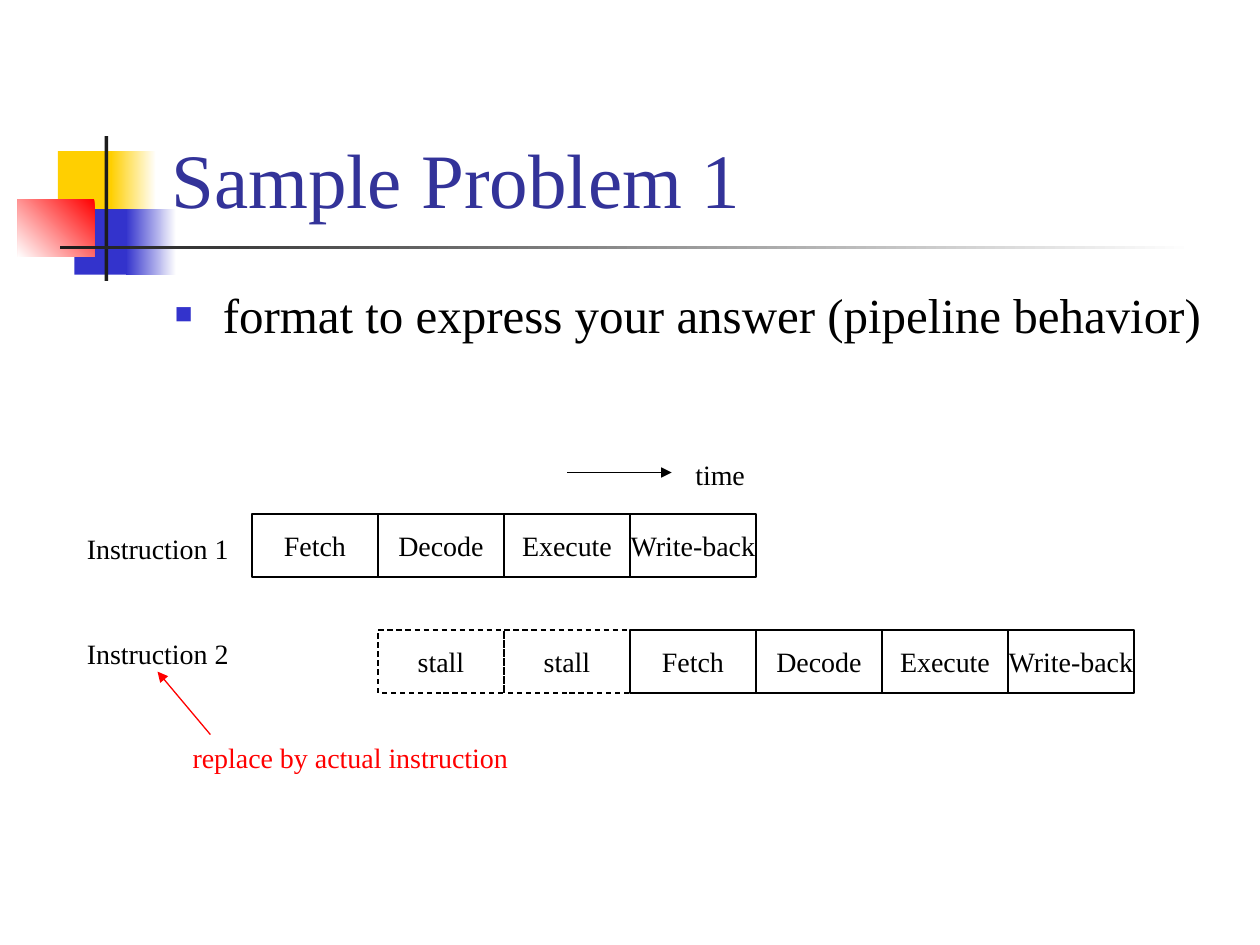
from dataclasses import dataclass

from lxml.etree import SubElement
from pptx import Presentation
from pptx.dml.color import RGBColor
from pptx.enum.dml import MSO_LINE
from pptx.enum.shapes import MSO_CONNECTOR, MSO_SHAPE
from pptx.enum.text import MSO_ANCHOR, MSO_AUTO_SIZE, PP_ALIGN
from pptx.oxml.ns import qn
from pptx.util import Inches, Pt


@dataclass(frozen=True)
class Theme:
    font: str = "Times New Roman"
    title_size: int = 44
    body_size: int = 28
    label_size: int = 16
    line_width: float = 0.75
    title: str = "333399"
    ink: str = "000000"
    note: str = "FF0000"
    white: str = "FFFFFF"
    yellow: str = "FFCF01"
    blue: str = "3333CC"
    red: str = "FF0000"
    bar: str = "1C1C1C"


THEME = Theme()
STAGES = ["Fetch", "Decode", "Execute", "Write-back"]


def color(value):
    return RGBColor.from_string(value)


def place(shape, box):
    shape.left, shape.top, shape.width, shape.height = map(Inches, box)


def write(shape, text, size, ink=THEME.ink, align=PP_ALIGN.LEFT):
    para = shape.text_frame.paragraphs[0]
    para.alignment = align
    span = para.add_run()
    span.text = text
    span.font.name = THEME.font
    span.font.size = Pt(size)
    span.font.color.rgb = color(ink)


def add_label(page, box, text, ink=THEME.ink):
    label = page.shapes.add_textbox(*map(Inches, box))
    label.text_frame.word_wrap = True
    label.text_frame.auto_size = MSO_AUTO_SIZE.NONE
    label.text_frame.margin_right = Inches(0)
    write(label, text, THEME.label_size, ink)


def add_rectangle(page, box):
    shape = page.shapes.add_shape(MSO_SHAPE.RECTANGLE, *map(Inches, box))
    shape.shadow.inherit = False
    return shape


def add_arrow(page, start, end, ink):
    arrow = page.shapes.add_connector(
        MSO_CONNECTOR.STRAIGHT, *map(Inches, start + end))
    arrow.line.color.rgb = color(ink)
    arrow.line.width = Pt(THEME.line_width)
    SubElement(arrow.line._get_or_add_ln(), qn("a:tailEnd"), type="triangle")
    SubElement(arrow._element.spPr, qn("a:effectLst"))


def add_ornament(page, box):
    left, top, width, height = box
    parts = [
        ((0.32, 0.12, 0.48, 0.52), [THEME.yellow], 0),
        ((0.74, 0.12, 0.36, 0.52), [THEME.white, THEME.yellow], 180),
        ((0.45, 0.58, 0.46, 0.52), [THEME.blue], 0),
        ((0.86, 0.58, 0.4, 0.52), [THEME.white, THEME.blue], 180),
        ((0, 0.5, 0.61, 0.46), [THEME.red, THEME.white], 225),
        ((0.69, 0, 0.03, height), [THEME.bar], 0),
        ((0.34, 0.87, width - 0.34, 0.03), [THEME.white, THEME.bar], 180),
    ]
    for (across, down, part_width, part_height), colors, angle in parts:
        part = add_rectangle(page, (left + across, top + down, part_width, part_height))
        part.line.fill.background()
        if len(colors) == 1:
            part.fill.solid()
            part.fill.fore_color.rgb = color(colors[0])
        else:
            part.fill.gradient()
            part.fill.gradient_angle = angle
            for stop, value in zip(part.fill.gradient_stops, colors):
                stop.color.rgb = color(value)


def add_title(page, box):
    title = page.shapes.title
    title._element.getparent().append(title._element)
    place(title, box)
    title.text_frame.vertical_anchor = MSO_ANCHOR.BOTTOM
    title.text_frame.auto_size = MSO_AUTO_SIZE.NONE
    write(title, "Sample Problem 1", THEME.title_size, THEME.title)


def add_body(page, box):
    body = page.shapes.add_textbox(*map(Inches, box))
    body.text_frame.word_wrap = True
    properties = body.text_frame.paragraphs[0]._p.get_or_add_pPr()
    indent = Inches(0.38)
    properties.set("marL", str(indent))
    properties.set("indent", str(-indent))
    bullet_color = SubElement(properties, qn("a:buClr"))
    SubElement(bullet_color, qn("a:srgbClr"), val=THEME.blue)
    SubElement(properties, qn("a:buSzPct"), val="60000")
    SubElement(properties, qn("a:buFont"), typeface=THEME.font)
    SubElement(properties, qn("a:buChar"), char="■")
    write(body, "format to express your answer (pipeline behavior)", THEME.body_size)


def add_stages(page, box, names, dash=MSO_LINE.SOLID):
    left, top, width, height = box
    step = width / len(names)
    for index, name in enumerate(names):
        stage = add_rectangle(page, (left + index * step, top, step, height))
        stage.fill.background()
        stage.line.color.rgb = color(THEME.ink)
        stage.line.width = Pt(THEME.line_width)
        stage.line.dash_style = dash
        stage.text_frame.word_wrap = False
        stage.text_frame.vertical_anchor = MSO_ANCHOR.MIDDLE
        write(stage, name, THEME.label_size, align=PP_ALIGN.CENTER)


def add_pipeline(page, box):
    left, top, width, height = box
    second_row = top + 1.42
    add_arrow(page, (4.5, top + 0.17), (5.33, top + 0.17), THEME.ink)
    add_label(page, (5.42, top, 0.59, 0.37), "time")
    add_stages(page, (2, top + 0.5, 4, 0.5), STAGES)
    add_label(page, (left, top + 0.59, 1.32, 0.37), "Instruction 1")
    add_stages(page, (left + width - 4, second_row, 4, 0.5), STAGES)
    add_label(page, (left, second_row, 1.32, 0.37), "Instruction 2")
    add_stages(page, (3, second_row, 2, 0.5), ["stall"] * 2, MSO_LINE.DASH)
    note_top = top + height - 0.37
    add_label(page, (1.43, note_top, 2.7, 0.37), "replace by actual instruction", THEME.note)
    add_arrow(page, (1.67, note_top), (1.25, note_top - 0.5), THEME.note)


def main():
    deck = Presentation()
    deck.slide_width, deck.slide_height = Inches(10), Inches(7.5)
    page = deck.slides.add_slide(deck.slide_layouts[5])
    add_ornament(page, (0.14, 1.08, 9.34, 1.15))
    add_title(page, (1.26, 0.23, 8.52, 1.6))
    add_body(page, (1.29, 2.21, 8.5, 0.79))
    add_pipeline(page, (0.59, 3.58, 8.41, 2.62))
    deck.save("out.pptx")


if __name__ == "__main__":
    main()
